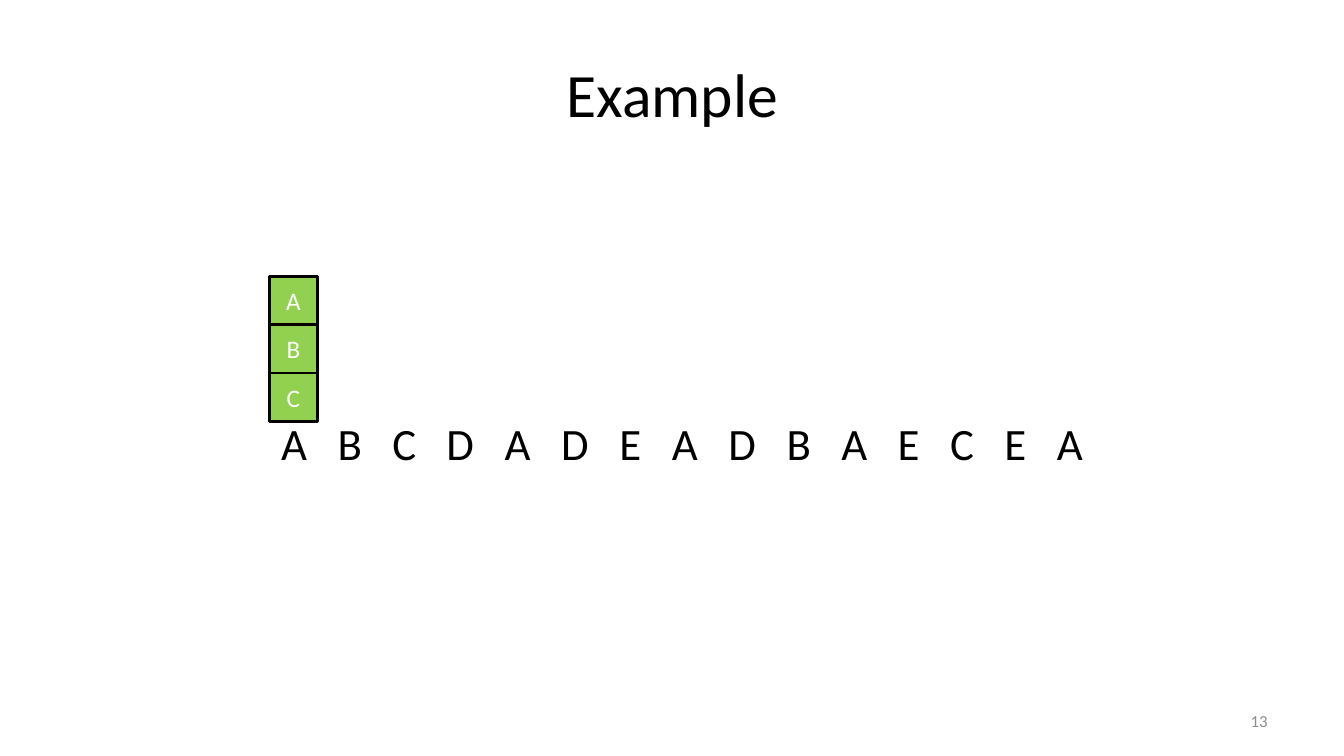
from itertools import accumulate

from lxml.etree import SubElement
from pptx import Presentation
from pptx.dml.color import RGBColor
from pptx.enum.shapes import MSO_SHAPE as Shape
from pptx.enum.text import MSO_ANCHOR as Anchor, PP_ALIGN as Align
from pptx.oxml.ns import qn
from pptx.util import Inches, Pt

TITLE = {"text": "Example", "at": (0.67, 0.3, 12, 1.25)}
PAGE_NUMBER = {"text": "13", "at": (9.56, 6.95, 3.11, 0.4)}
REQUESTS = {"letters": "ABCDADEADBAECEA", "at": (2.69, 4.08, 8.23, 0.64)}
CACHE = {"pages": "ABC", "left": 2.67, "top": 2.74, "side": 0.48}

LETTER_EMS = {"A": 0.58, "B": 0.54, "C": 0.53, "D": 0.62, "E": 0.49}
GAP_EMS = 0.68

THEME = {
    "font": "Calibri",
    "title": {"size": 44, "color": "000000", "align": Align.CENTER},
    "number": {"size": 12, "color": "8C8C8C", "align": Align.RIGHT},
    "requests": {"size": 32, "color": "000000", "align": Align.LEFT},
    "page": {"size": 18, "color": "FFFFFF", "align": Align.CENTER},
    "page_fill": "92D050",
    "page_line": "000000",
    "page_line_width": 2,
}


def write(shape, text, style, anchor=Anchor.MIDDLE):
    frame = shape.text_frame
    for name, value in {"word_wrap": True, "vertical_anchor": anchor}.items():
        setattr(frame, name, value)
    paragraph = frame.paragraphs[0]
    paragraph.alignment = style["align"]
    run = paragraph.add_run()
    run.text = text
    for name, value in {"name": THEME["font"], "size": Pt(style["size"])}.items():
        setattr(run.font, name, value)
    run.font.color.rgb = RGBColor.from_string(style["color"])
    return paragraph


def add_text(slide, at, text, style, anchor=Anchor.MIDDLE):
    box = slide.shapes.add_textbox(*map(Inches, at))
    return write(box, text, style, anchor)


def add_requests(slide):
    style = THEME["requests"]
    letters = REQUESTS["letters"]
    paragraph = add_text(slide, REQUESTS["at"], "\t".join(letters), style, Anchor.TOP)
    tabs = SubElement(paragraph._p.get_or_add_pPr(), qn("a:tabLst"))
    for ems in accumulate(LETTER_EMS[letter] + GAP_EMS for letter in letters[:-1]):
        SubElement(tabs, qn("a:tab"), pos=str(Pt(ems * style["size"])), algn="l")


def add_cache(slide):
    column = slide.shapes.add_group_shape()
    side = CACHE["side"]
    for row, letter in enumerate(CACHE["pages"]):
        at = (CACHE["left"], CACHE["top"] + row * side, side, side)
        page = column.shapes.add_shape(Shape.RECTANGLE, *map(Inches, at))
        page.shadow.inherit = False
        page.fill.solid()
        page.fill.fore_color.rgb = RGBColor.from_string(THEME["page_fill"])
        page.line.color.rgb = RGBColor.from_string(THEME["page_line"])
        page.line.width = Pt(THEME["page_line_width"])
        write(page, letter, THEME["page"])


def main():
    deck = Presentation()
    deck.slide_width, deck.slide_height = Inches(13.33), Inches(7.5)
    slide = deck.slides.add_slide(deck.slide_layouts[6])
    add_text(slide, TITLE["at"], TITLE["text"], THEME["title"])
    add_text(slide, PAGE_NUMBER["at"], PAGE_NUMBER["text"], THEME["number"])
    add_requests(slide)
    add_cache(slide)
    deck.save("out.pptx")


if __name__ == "__main__":
    main()
